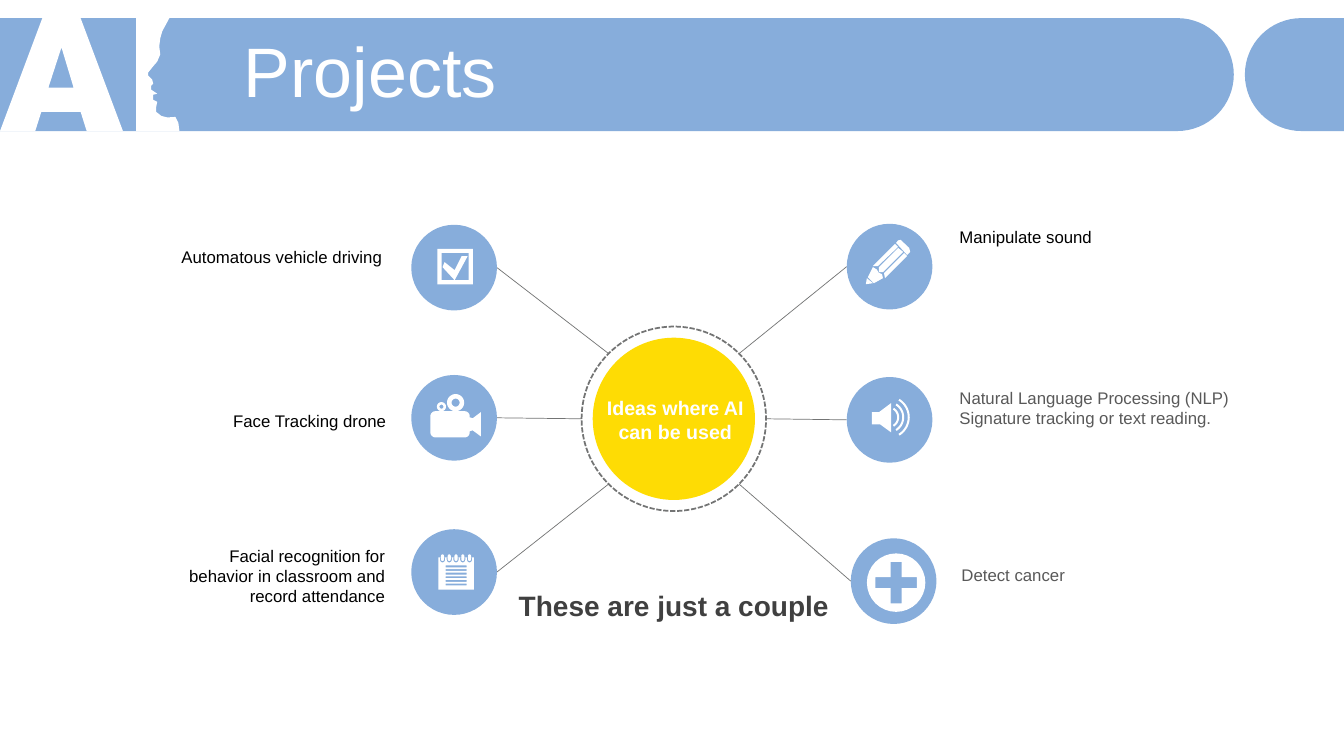
from dataclasses import dataclass
from math import cos, radians, sin

from lxml.etree import SubElement
from pptx import Presentation
from pptx.dml.color import RGBColor as RGB
from pptx.enum.dml import MSO_LINE as DASH
from pptx.enum.shapes import MSO_CONNECTOR as CXN, MSO_SHAPE as SHAPE
from pptx.enum.text import MSO_ANCHOR as ANCHOR, MSO_AUTO_SIZE as FIT, PP_ALIGN as ALIGN
from pptx.oxml.ns import qn
from pptx.util import Inches, Pt


@dataclass(frozen=True)
class Theme:
    font: str = "Arial"
    blue: str = "87ADDB"
    yellow: str = "FEDC04"
    white: str = "FFFFFF"
    black: str = "000000"
    gray: str = "595959"
    dark: str = "404040"
    line: str = "737474"
    title: int = 50
    closing: int = 20
    hub: int = 14
    label: int = 12


T = Theme()
COLS, ROWS = 133.33, 75
CELL = Inches(7.5) / ROWS
HUB, HUB_R, RING_R, NODE_R = (66.85, 41.55), 8.05, 9.15, 4.25


def cells(*values):
    return [round(v * CELL) for v in values]


def rect(x0, y0, x1, y1):
    return [(x0, y0), (x1, y0), (x1, y1), (x0, y1)]


def arc(cx, cy, r, start=0, end=360, steps=32):
    angles = [radians(start + (end - start) * i / steps) for i in range(steps + 1)]
    return [(cx + r * cos(a), cy + r * sin(a)) for a in angles]


def wave(r):
    cx, cy = -0.15, -0.25
    return arc(cx, cy, r, -58, 58) + arc(cx, cy, r - 0.2, 58, -58)


def check_icon():
    tick = [(-1.15, -0.05), (-0.95, -0.55), (0.05, 0.25), (0.75, -1.15), (1.35, -1.15), (0.05, 1.25)]
    return [rect(-1.65, -1.85, 1.85, 1.65), rect(-1.25, -1.45, 1.45, 1.25), tick]


def camera_icon():
    body = (arc(-1.85, -0.15, 0.5, 180, 270, 8) + arc(1.05, -0.15, 0.5, 270, 360, 8)
            + [(1.55, -0.05), (1.85, 0.05), (2.65, -0.55), (2.65, 1.85), (1.85, 1.25), (1.55, 1.35)]
            + arc(1.05, 1.45, 0.5, 0, 90, 8) + arc(-1.85, 1.45, 0.5, 90, 180, 8))
    reels = [arc(x, y, r) for x, y, radii in ((-1.25, -1.1, (0.45, 0.2)), (0.15, -1.5, (0.85, 0.4)))
             for r in radii]
    return [body] + reels


def notepad_icon():
    page = rect(-1.55, -1.45, 1.95, 1.75)
    lines = [rect(-0.85, y, 1.25, y + 0.18) for y in (-0.65 + 0.36 * i for i in range(6))]
    rings = []
    for x in (-1.15 + 0.67 * i for i in range(5)):
        rings.append([(x - 0.25, -1.45), (x + 0.25, -1.45)] + arc(x, -1.2, 0.25, 0, 180, 12))
        rings.append(arc(x, -1.6, 0.15, 180, 360, 12) + arc(x, -1.25, 0.15, 0, 180, 12))
    return [page] + lines + rings


def pencil_icon():
    return [
        [(-2.25, 1.15), (-1.65, 1.65), (-2.35, 1.75)],
        [(-1.65, 0.05), (-1.25, 0.3), (-1.1, 0.6), (-0.75, 0.75), (-0.65, 1.15), (-1.55, 1.65), (-2.15, 1.05)],
        [(1.45, -1.35), (1.75, -1.05), (-0.45, 1.15), (-0.55, 0.65)],
        [(0.85, -1.85), (1.35, -1.45), (-0.65, 0.55), (-1.05, 0.55), (-1.05, 0.05)],
        [(0.55, -2.25), (0.85, -1.95), (-1.15, -0.05), (-1.65, -0.05)],
        [(0.65, -2.35), (0.85, -2.6), (1.1, -2.65), (1.95, -1.85), (2.05, -1.45), (1.75, -1.15)],
    ]


def sound_icon():
    speaker = [(-1.75, -0.75), (-1.05, -0.75), (0.15, -1.65), (0.15, 1.25), (-0.95, 0.45), (-1.75, 0.45)]
    return [speaker] + [wave(r) for r in (1.1, 1.6, 2.15)]


def plus_icon():
    cx, cy, a, b = 0.25, 0.15, 0.55, 2.05
    corner = [(a, b), (a, a), (b, a)]
    cross = (corner + [(x, -y) for x, y in reversed(corner)]
             + [(-x, -y) for x, y in corner] + [(-x, y) for x, y in reversed(corner)])
    return [arc(cx, cy, 2.9), [(cx + x, cy + y) for x, y in cross]]


def add_outline(s, contours, color, x=0, y=0):
    points = [[cells(x + px, y + py) for px, py in c] for c in contours]
    fb = s.shapes.build_freeform(*points[0][0])
    fb.add_line_segments(points[0][1:])
    for c in points[1:]:
        fb.move_to(*c[0])
        fb.add_line_segments(c[1:])
    sp = fb.convert_to_shape()
    sp.shadow.inherit = False
    sp.fill.solid()
    sp.fill.fore_color.rgb = RGB.from_string(color)
    sp.line.fill.background()


def add_disc(s, x, y, r, color=None):
    sp = s.shapes.add_shape(SHAPE.OVAL, *cells(x - r, y - r, 2 * r, 2 * r))
    sp.shadow.inherit = False
    if color:
        sp.fill.solid()
        sp.fill.fore_color.rgb = RGB.from_string(color)
        sp.line.fill.background()
    else:
        sp.fill.background()
        sp.line.color.rgb = RGB.from_string(T.line)
        sp.line.width = Pt(1.25)
        sp.line.dash_style = DASH.SQUARE_DOT


def add_spoke(s, x, y, side, row):
    a = radians(45 * row)
    cx = s.shapes.add_connector(CXN.STRAIGHT, *cells(
        x - side * NODE_R, y, HUB[0] + side * RING_R * cos(a), HUB[1] + RING_R * sin(a)))
    cx.line.color.rgb = RGB.from_string(T.line)
    cx.line.width = Pt(0.5)
    SubElement(cx.element.spPr, qn("a:effectLst"))


def write(tf, text, size, color, align=ALIGN.LEFT, bold=False):
    tf.word_wrap = True
    p = tf.paragraphs[0]
    p.alignment = align
    r = p.add_run()
    r.text = text
    r.font.name, r.font.size, r.font.bold = T.font, Pt(size), bold
    r.font.color.rgb = RGB.from_string(color)
    return p


def add_text(s, box, *style, **options):
    tf = s.shapes.add_textbox(*cells(*box)).text_frame
    write(tf, *style, **options)
    return tf


def add_header(s, text):
    add_outline(s, [[(0, 1.8)] + arc(116.8, 7.4, 5.6, -90, 90) + [(0, 13)]], T.blue)
    add_outline(s, [[(COLS, 1.8)] + arc(129.1, 7.4, 5.6, 270, 90) + [(COLS, 13)]], T.blue)
    letter = [(4.2, 1.8), (8, 1.8), (12.2, 13), (8.6, 13), (8, 11.1), (4.1, 11.1), (3.5, 13), (0, 13)]
    profile = [(13.5, 1.8), (16.8, 1.8), (16.1, 3.1), (15.9, 3.8), (15.8, 4.6), (15.9, 5.4),
               (15.6, 6.1), (15.1, 6.7), (14.7, 7.2), (14.7, 7.5), (15.1, 7.9), (15.2, 8.3),
               (15, 8.5), (15, 8.9), (15.6, 9.3), (15.2, 9.4), (15.2, 9.9), (15.6, 10.1),
               (15.5, 10.6), (15.5, 11.1), (16, 11.5), (16.6, 11.65), (17.4, 11.6), (17.7, 12.2),
               (17.8, 13), (13.5, 13)]
    add_outline(s, [letter, [(6.1, 4.7), (4.8, 8.7), (7.3, 8.7)], profile], T.white)
    title = s.shapes.title
    title.element.getparent().append(title.element)
    title.left, title.top, title.width, title.height = cells(23.2, 3.7, 106.9, 7.9)
    tf = title.text_frame
    tf.auto_size, tf.vertical_anchor = FIT.NONE, ANCHOR.MIDDLE
    write(tf, text, T.title, T.white).line_spacing = 0.8


def main():
    prs = Presentation()
    prs.slide_width, prs.slide_height = cells(COLS, ROWS)
    s = prs.slides.add_slide(prs.slide_layouts[5])
    add_header(s, "Projects")

    ideas = [
        (-1, -1, 45.05, 26.55, check_icon, (9.4, 24, 29.5, 3), "Automatous vehicle driving", T.black),
        (-1, 0, 45.05, 41.45, camera_icon, (9.4, 40.3, 29.9, 3), "Face Tracking drone", T.black),
        (-1, 1, 45.05, 56.75, notepad_icon, (15.1, 53.6, 24.1, 7.1),
         "Facial recognition for behavior in classroom and record attendance", T.black),
        (1, -1, 88.25, 26.45, pencil_icon, (94.2, 22, 29.7, 5), "Manipulate sound", T.black),
        (1, 0, 88.25, 41.65, sound_icon, (94.2, 38, 29.7, 5),
         "Natural Language Processing (NLP) Signature tracking or text reading.", T.gray),
        (1, 1, 88.65, 57.65, plus_icon, (94.4, 55.5, 29.7, 3), "Detect cancer", T.gray),
    ]
    for side, row, x, y, icon, box, text, color in ideas:
        add_spoke(s, x, y, side, row)
        add_disc(s, x, y, NODE_R, T.blue)
        add_outline(s, icon(), T.white, x, y)
        add_text(s, box, text, T.label, color, align=ALIGN.RIGHT if side < 0 else ALIGN.LEFT)

    add_disc(s, *HUB, HUB_R, T.yellow)
    add_disc(s, *HUB, RING_R)
    add_text(s, (59.2, 38.8, 15.6, 5.7), "Ideas where AI can be used", T.hub, T.white,
             align=ALIGN.CENTER, bold=True)
    tf = add_text(s, (51.4, 58.4, 30.9, 3.4), "These are just a couple", T.closing, T.dark,
                  align=ALIGN.CENTER, bold=True)
    tf.margin_left = tf.margin_right = tf.margin_top = tf.margin_bottom = 0
    prs.save("out.pptx")


if __name__ == "__main__":
    main()
